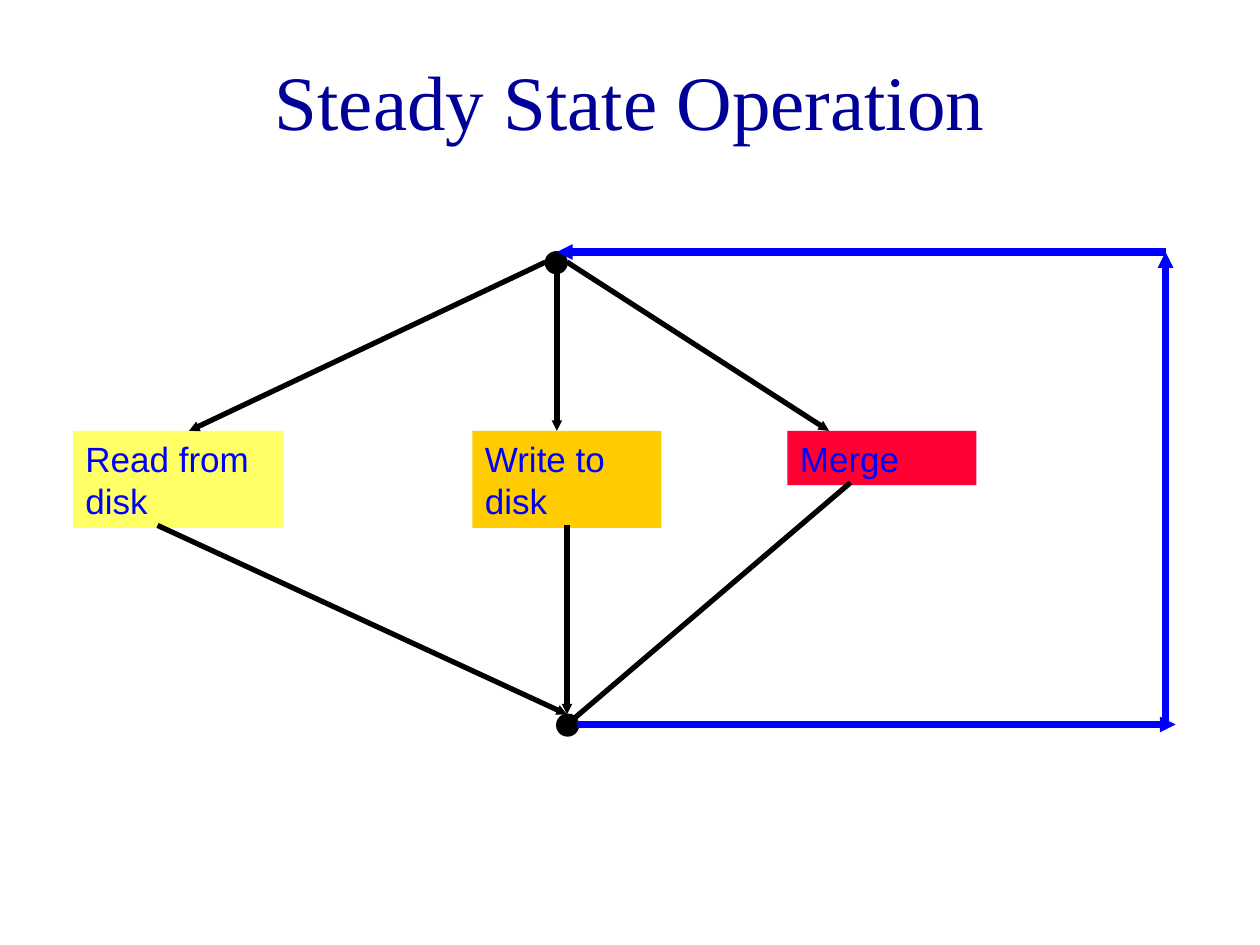
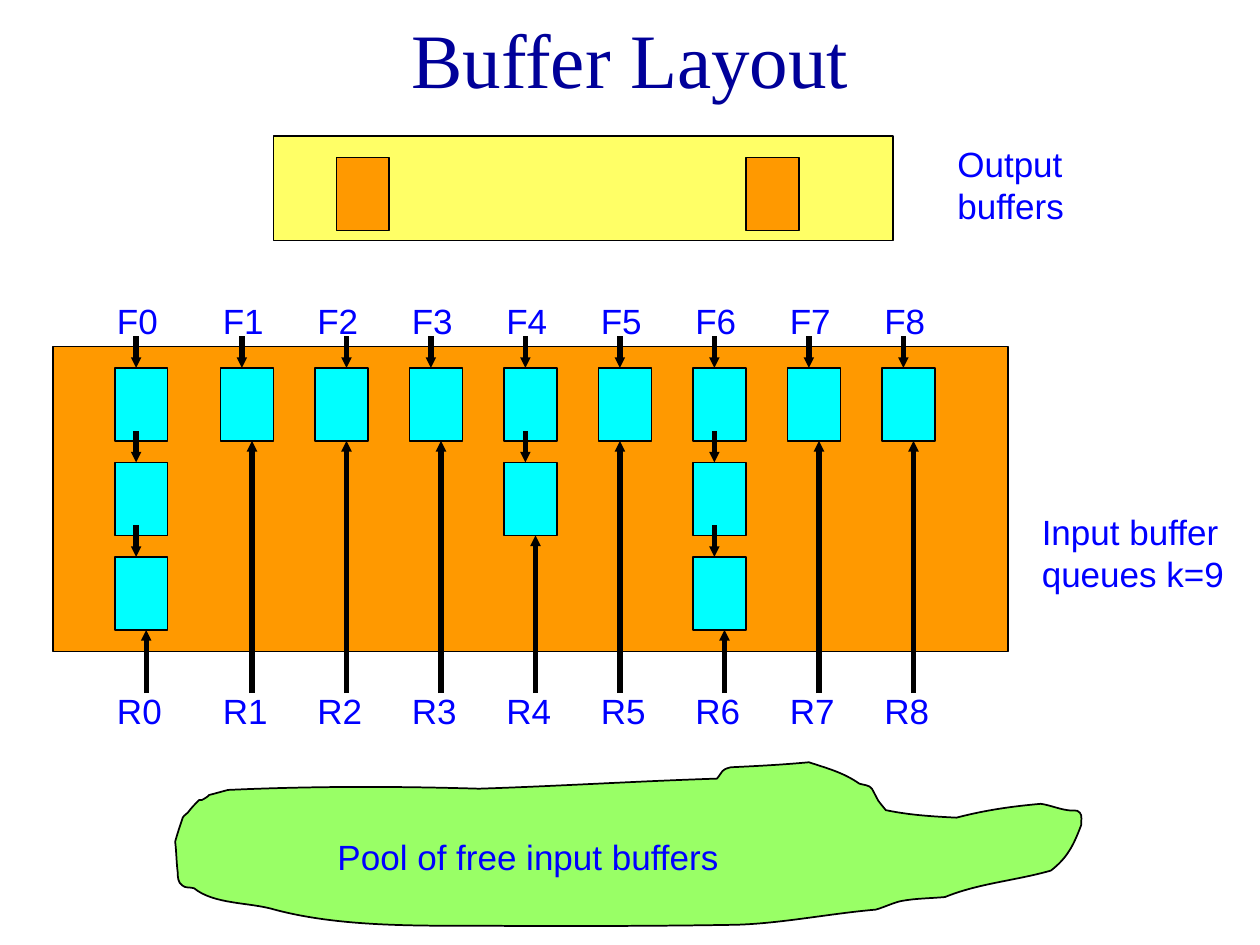
"""Build two slides on merge operation and buffer layout."""
from lxml import etree
from pptx import Presentation
from pptx import util as u
from pptx.dml.color import RGBColor
from pptx.enum import shapes, text
from pptx.oxml import ns

NAVY = RGBColor(0x00, 0x00, 0x99)
BLUE = RGBColor(0x00, 0x00, 0xFF)
BLACK = RGBColor(0x00, 0x00, 0x00)
YELLOW = RGBColor(0xFF, 0xFF, 0x66)
GOLD = RGBColor(0xFF, 0xCC, 0x00)
RED = RGBColor(0xFF, 0x00, 0x33)
ORANGE = RGBColor(0xFF, 0x99, 0x00)
CYAN = RGBColor(0x00, 0xFF, 0xFF)
GREEN = RGBColor(0x99, 0xFF, 0x66)

RECT = shapes.MSO_SHAPE.RECTANGLE
OVAL = shapes.MSO_SHAPE.OVAL

DEPTHS = [3, 1, 1, 1, 2, 1, 3, 1, 1]
STEP = 0.75
CELL_W, CELL_H, CELL_TOP = 0.42, 0.58, 2.92

POOL_START = (5.69, 6.18)
POOL_CURVES = [
    (5.06, 6.2, 4.43, 6.24, 3.8, 6.26), (3.13, 6.24, 2.47, 6.24, 1.81, 6.27),
    (1.77, 6.28, 1.7, 6.3, 1.66, 6.31), (1.65, 6.32, 1.64, 6.33, 1.62, 6.34),
    (1.61, 6.35, 1.6, 6.35, 1.58, 6.35), (1.55, 6.38, 1.52, 6.41, 1.49, 6.45),
    (1.47, 6.46, 1.45, 6.49, 1.45, 6.49), (1.43, 6.55, 1.41, 6.61, 1.39, 6.68),
    (1.4, 6.76, 1.4, 6.84, 1.41, 6.92), (1.41, 6.95, 1.41, 7.01, 1.45, 7.03),
    (1.47, 7.05, 1.51, 7.04, 1.54, 7.05), (1.7, 7.18, 1.98, 7.16, 2.18, 7.22),
    (2.78, 7.38, 3.51, 7.34, 4.11, 7.35), (4.68, 7.35, 5.26, 7.35, 5.84, 7.34),
    (6.2, 7.33, 6.59, 7.25, 6.95, 7.22), (7.02, 7.2, 7.1, 7.16, 7.16, 7.15),
    (7.27, 7.13, 7.39, 7.13, 7.5, 7.12), (7.77, 7.01, 8.06, 6.99, 8.34, 6.91),
    (8.47, 6.81, 8.52, 6.71, 8.58, 6.55), (8.58, 6.52, 8.59, 6.47, 8.57, 6.45),
    (8.55, 6.42, 8.5, 6.44, 8.47, 6.43), (8.4, 6.42, 8.33, 6.39, 8.26, 6.38),
    (8.03, 6.4, 7.82, 6.43, 7.59, 6.49), (7.4, 6.48, 7.22, 6.47, 7.03, 6.43),
    (6.95, 6.33, 6.99, 6.39, 6.92, 6.26), (6.9, 6.23, 6.85, 6.23, 6.82, 6.22),
    (6.69, 6.13, 6.57, 6.1, 6.42, 6.05), (6.21, 6.07, 6.01, 6.08, 5.8, 6.09),
    (5.72, 6.11, 5.74, 6.12, 5.69, 6.18),
]


def inches(*sizes):
    """Turn numbers into lengths."""
    return [u.Inches(size) for size in sizes]


def add_slide(deck, title, top, height):
    """Add a slide with the shared title style."""
    slide = deck.slides.add_slide(deck.slide_layouts[5])
    head = slide.shapes.title
    head.left, head.top, head.width, head.height = inches(0.75, top, 8.5, height)
    frame = head.text_frame
    frame.text = title
    frame.auto_size = text.MSO_AUTO_SIZE.NONE
    frame.vertical_anchor = text.MSO_ANCHOR.MIDDLE
    para = frame.paragraphs[0]
    para.alignment = text.PP_ALIGN.CENTER
    style_font(para.font, "Times New Roman", 44, NAVY)
    return slide


def style_font(font, name, size, color):
    """Set the face, size and colour of a font."""
    font.name = name
    font.size = u.Pt(size)
    font.color.rgb = color


def write(shape, words):
    """Put label text at the top left of a shape."""
    frame = shape.text_frame
    frame.word_wrap = True
    frame.vertical_anchor = text.MSO_ANCHOR.TOP
    frame.text = words
    para = frame.paragraphs[0]
    para.alignment = text.PP_ALIGN.LEFT
    style_font(para.font, "Arial", 20, BLUE)


def add_label(slide, words, left, top, width, height=0.43):
    """Add a plain text label."""
    write(slide.shapes.add_textbox(*inches(left, top, width, height)), words)


def paint(shape, fill, edge=True):
    """Fill a shape and give it a thin black edge or none."""
    shape.shadow.inherit = False
    shape.fill.solid()
    shape.fill.fore_color.rgb = fill
    if edge:
        shape.line.color.rgb = BLACK
        shape.line.width = u.Pt(1)
    else:
        shape.line.fill.background()


def add_box(slide, kind, fill, left, top, width, height, edge=True):
    """Add a filled preset shape."""
    box = slide.shapes.add_shape(kind, *inches(left, top, width, height))
    paint(box, fill, edge)
    return box


def add_arrow(slide, x1, y1, x2, y2, color=BLACK, width=3):
    """Add a straight arrow with a small head at its second end."""
    line = slide.shapes.add_connector(
        shapes.MSO_CONNECTOR.STRAIGHT, *inches(x1, y1, x2, y2))
    line.line.color.rgb = color
    line.line.width = u.Pt(width)
    etree.SubElement(line.line._get_or_add_ln(), ns.qn("a:tailEnd"),
                     type="triangle", w="sm", len="sm")
    etree.SubElement(line._element.spPr, ns.qn("a:effectLst"))


def add_blob(slide, start, curves, fill):
    """Add a closed outline of cubic curves."""
    unit = 1000
    ends = [curve[4:] for curve in curves]
    left = min(x for x, y in ends)
    top = min(y for x, y in ends)
    pen = slide.shapes.build_freeform(
        *(round(v * unit) for v in start), scale=u.Inches(1) / unit)
    pen.add_line_segments([(round(x * unit), round(y * unit)) for x, y in ends])
    blob = pen.convert_to_shape()
    lines = list(blob._element.iter(ns.qn("a:lnTo")))
    for line, curve in zip(lines, curves):
        bend = etree.Element(ns.qn("a:cubicBezTo"))
        for x, y in zip(curve[::2], curve[1::2]):
            etree.SubElement(bend, ns.qn("a:pt"), x=str(round((x - left) * unit)),
                             y=str(round((y - top) * unit)))
        line.getparent().replace(line, bend)
    paint(blob, fill)


def add_queue(slide, index, depth):
    """Add one input queue with its front and rear arrows."""
    left = 1.67 + STEP * (index - 1) if index else 0.83
    front = left + (0.33 if index == 2 else 0.25)
    rear = left + (0.25 if index == 5 else 0.33)
    add_label(slide, f"F{index}", left, 2.33, 0.75)
    add_label(slide, f"R{index}", left, 5.42, 0.75)
    tops = [CELL_TOP + STEP * row for row in range(depth)]
    for top in tops:
        add_box(slide, RECT, CYAN, left + 0.08, top, CELL_W, CELL_H)
    for top in tops:
        add_arrow(slide, front, top - 0.25, front, top)
    add_arrow(slide, rear, 5.5, rear, tops[-1] + CELL_H)


def build_steady(deck):
    """Build the steady state slide."""
    slide = add_slide(deck, "Steady State Operation", 0.17, 1.25)
    for words, fill, left, width, height in [
            ("Read from disk", YELLOW, 0.58, 1.67, 0.77),
            ("Write to disk", GOLD, 3.75, 1.5, 0.77),
            ("Merge", RED, 6.25, 1.5, 0.43)]:
        write(add_box(slide, RECT, fill, left, 3.42, width, height, False), words)
    for left, top in [(4.33, 2), (4.42, 5.67)]:
        add_box(slide, OVAL, BLACK, left, top, 0.17, 0.17)
    for ends in [(1.25, 4.17, 4.5, 5.67), (6.75, 3.83, 4.5, 5.75),
                 (4.5, 4.17, 4.5, 5.67), (4.33, 2.08, 1.5, 3.42),
                 (4.42, 2.17, 4.42, 3.42), (4.5, 2.08, 6.58, 3.42)]:
        add_arrow(slide, *ends)
    for ends in [(4.58, 5.75, 9.33, 5.75), (9.25, 5.75, 9.25, 2),
                 (9.25, 2, 4.42, 2)]:
        add_arrow(slide, *ends, BLUE, 4.5)


def build_layout(deck):
    """Build the buffer layout slide."""
    slide = add_slide(deck, "Buffer Layout", 0, 0.92)
    add_box(slide, RECT, YELLOW, 2.17, 1.08, 4.92, 0.83)
    for left in (2.67, 5.92):
        add_box(slide, RECT, ORANGE, left, 1.25, CELL_W, CELL_H)
    add_label(slide, "Output buffers", 7.5, 1.08, 1.67, 0.77)
    add_label(slide, "Input buffer queues k=9", 8.17, 4, 1.67, 1.43)
    add_box(slide, RECT, ORANGE, 0.42, 2.75, 7.58, 2.42)
    for index, depth in enumerate(DEPTHS):
        add_queue(slide, index, depth)
    add_blob(slide, POOL_START, POOL_CURVES, GREEN)
    add_label(slide, "Pool of free input buffers", 2.58, 6.58, 4.08)


def main():
    """Build and save the deck."""
    deck = Presentation()
    deck.slide_width, deck.slide_height = inches(10, 7.5)
    build_steady(deck)
    build_layout(deck)
    deck.save("out.pptx")


if __name__ == "__main__":
    main()
